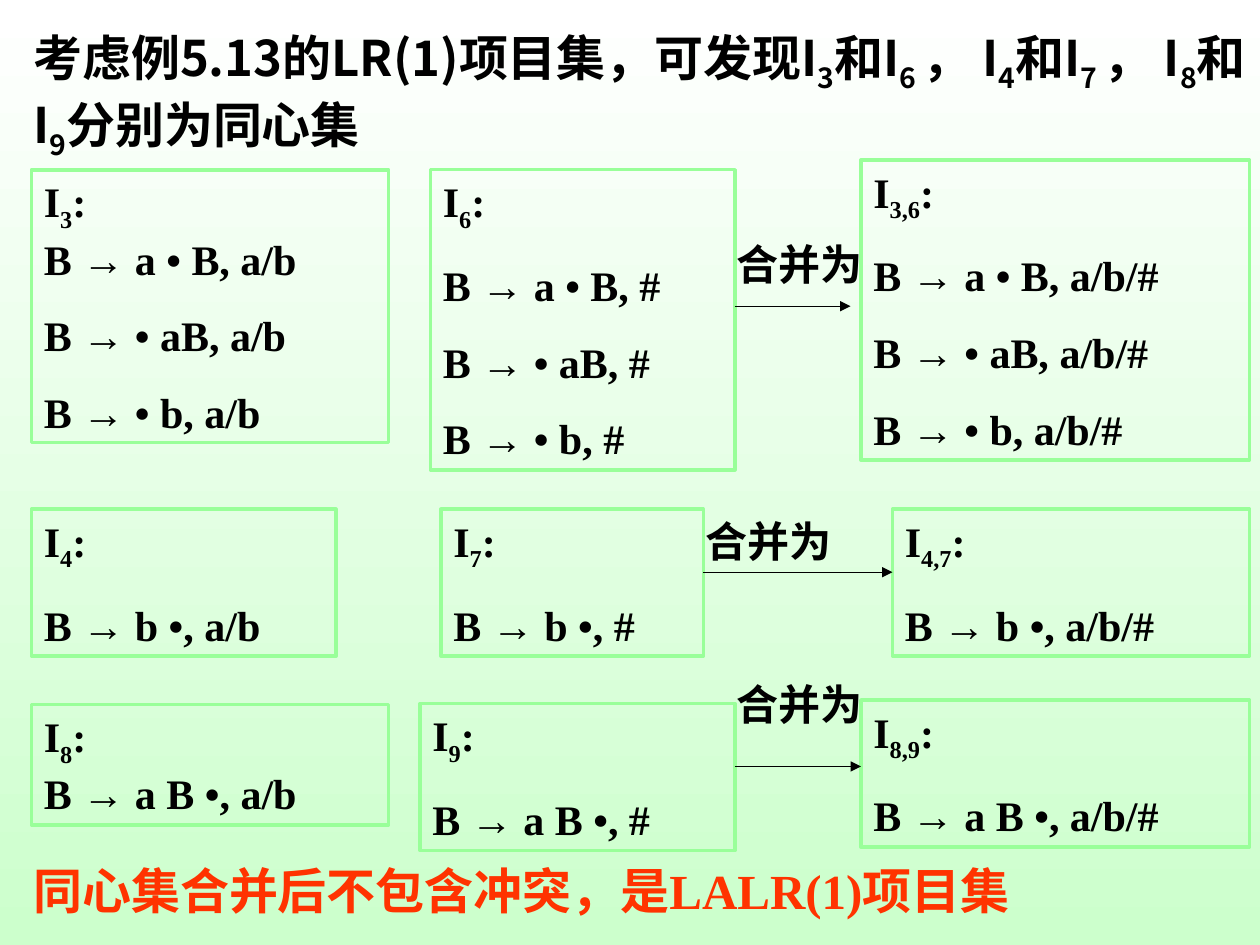
from dataclasses import dataclass

from lxml.etree import SubElement
from pptx import Presentation
from pptx.dml.color import RGBColor
from pptx.enum.shapes import MSO_CONNECTOR, MSO_SHAPE
from pptx.enum.text import MSO_ANCHOR, PP_ALIGN
from pptx.oxml.ns import qn
from pptx.util import Pt


@dataclass(frozen=True)
class Theme:
    ink: RGBColor = RGBColor(0x00, 0x00, 0x00)
    accent: RGBColor = RGBColor(0xFF, 0x33, 0x00)
    border: RGBColor = RGBColor(0x99, 0xFF, 0x99)
    top: RGBColor = RGBColor(0xFF, 0xFF, 0xFF)
    bottom: RGBColor = RGBColor(0xCC, 0xFF, 0xCC)
    heading: int = 28
    body: int = 24
    serif: str = "Times New Roman"
    symbol: str = "Arial"
    cjk: str = "Noto Sans CJK SC"


class Builder:
    """Draws the elements of the slide in one theme."""

    def __init__(self, s, theme):
        self.s = s
        self.theme = theme

    def background(self):
        fill = self.s.background.fill
        fill.gradient()
        fill.gradient_angle = 270
        for stop, color in zip(fill.gradient_stops, (self.theme.top, self.theme.bottom)):
            stop.color.rgb = color

    def run(self, p, text, font, size, color, sub=False):
        r = p.add_run()
        r.text = text
        r.font.name = font
        r.font.size = Pt(size)
        r.font.bold = True
        r.font.color.rgb = color
        rPr = r._r.get_or_add_rPr()
        if sub:
            rPr.set("baseline", "-25000")
        if any("\u4e00" <= ch <= "\u9fff" or ch == "，" for ch in text):
            SubElement(rPr, qn("a:ea")).set("typeface", self.theme.cjk)

    def marked(self, p, text, font, size, color):
        for i, part in enumerate(text.split("_")):
            self.run(p, part, font, size, color, sub=i % 2 == 1)

    def text(self, x, y, w, h, text, font, size, color, spacing=1.0):
        sp = self.s.shapes.add_textbox(Pt(x), Pt(y), Pt(w), Pt(h))
        tf = sp.text_frame
        tf.word_wrap = True
        p = tf.paragraphs[0]
        p.line_spacing = spacing
        self.marked(p, text, font, size, color)

    def item_set(self, name, cores, lookahead, x, y, w, h, lead=15):
        t = self.theme
        sp = self.s.shapes.add_shape(MSO_SHAPE.RECTANGLE, Pt(x), Pt(y), Pt(w), Pt(h))
        sp.shadow.inherit = False
        sp.fill.background()
        sp.line.color.rgb = t.border
        sp.line.width = Pt(2)
        tf = sp.text_frame
        tf.word_wrap = True
        tf.vertical_anchor = MSO_ANCHOR.TOP
        p = tf.paragraphs[0]
        p.alignment = PP_ALIGN.LEFT
        self.marked(p, f"I_{name}_:", t.serif, t.body, t.ink)
        for i, core in enumerate(cores):
            p = tf.add_paragraph()
            p.alignment = PP_ALIGN.LEFT
            p.space_before = Pt(15 if i else lead)
            for part, font in (("B ", t.serif), ("→", t.symbol),
                               (f" {core}, {lookahead}", t.serif)):
                self.run(p, part, font, t.body, t.ink)

    def arrow(self, x1, x2, y):
        cn = self.s.shapes.add_connector(MSO_CONNECTOR.STRAIGHT, Pt(x1), Pt(y), Pt(x2), Pt(y))
        cn.line.color.rgb = self.theme.ink
        cn.line.width = Pt(0.75)
        SubElement(cn.line._get_or_add_ln(), qn("a:tailEnd")).set("type", "triangle")
        SubElement(cn._element.spPr, qn("a:effectLst"))

    def merge(self, cores, sets, arrow, label):
        t = self.theme
        for name, lookahead, *frame in sets:
            self.item_set(name, cores, lookahead, *frame)
        self.arrow(*arrow)
        self.text(*label, 36, "合并为", t.cjk, t.body, t.ink)


MERGES = [
    (("a • B", "• aB", "• b"),
     (("3", "a/b", 18, 97, 204, 156, 0),
      ("6", "#", 246, 97, 174, 171.5),
      ("3,6", "a/b/#", 492, 91.5, 222, 171.5)),
     (420, 486, 175), (414, 133, 96)),
    (("b •",),
     (("4", "a/b", 18, 291, 174, 84),
      ("7", "#", 252, 291, 150, 84),
      ("4,7", "a/b/#", 510, 291, 204, 84)),
     (402, 510, 327), (396, 291, 102)),
    (("a B •",),
     (("8", "a/b", 18, 402.5, 204, 69, 0),
      ("9", "#", 240, 402, 180, 84),
      ("8,9", "a/b/#", 492, 400, 222, 84)),
     (420, 492, 438), (414, 384, 108)),
]


def main():
    prs = Presentation()
    prs.slide_width, prs.slide_height = Pt(720), Pt(540)
    theme = Theme()
    b = Builder(prs.slides.add_slide(prs.slide_layouts[6]), theme)
    b.background()
    b.text(12, 12, 708, 83.5,
           "考虑例5.13的LR(1)项目集，可发现I_3_和I_6 _， I_4_和I_7 _， I_8_和I_9_分别为同心集",
           theme.cjk, theme.heading, theme.ink)
    for merge in MERGES:
        b.merge(*merge)
    b.text(12, 492, 612, 37.5, "同心集合并后不包含冲突，是LALR(1)项目集",
           theme.serif, theme.heading, theme.accent, spacing=0.9)
    prs.save("out.pptx")


if __name__ == "__main__":
    main()
